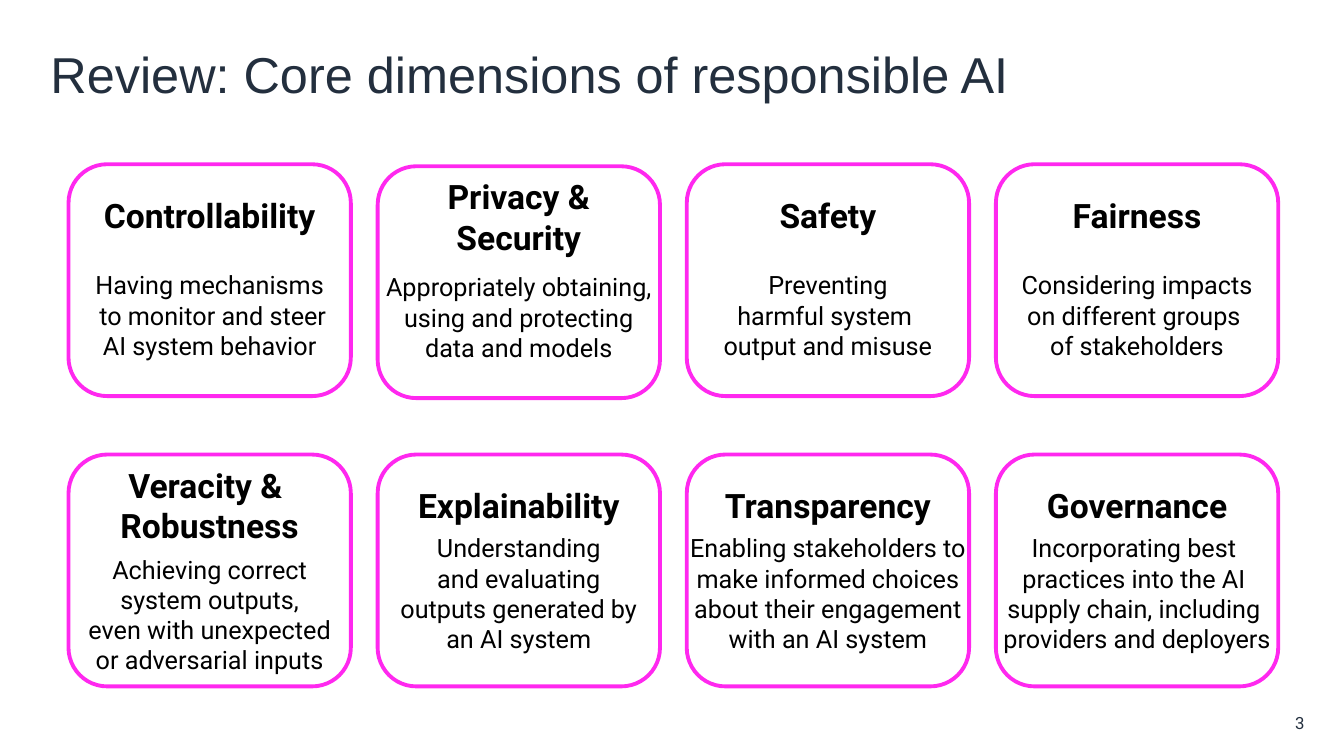
from pptx import Presentation
from pptx import util as u
from pptx.dml import color
from pptx.enum import shapes, text

SLIDE_WIDTH, SLIDE_HEIGHT = 13.33, 7.5
CARD_WIDTH, CARD_HEIGHT = 2.8, 2.3
HEADING_HEIGHT, DETAIL_HEIGHT = 1, 1.2
GRID_LEFT, GRID_TOP = 0.68, 1.63
COLUMN_STEP, ROW_STEP = 3.066, 2.88
INK, NAVY, MAGENTA = "000000", "232F3E", "FF28EF"

DIMENSIONS = [
    [
        ("Controllability", "Having mechanisms\n to monitor and steer\nAI system behavior", 1.03, 0),
        ("Privacy &\nSecurity", "Appropriately obtaining,\nusing and protecting\ndata and models", 1.03, 0.02),
        ("Safety", "Preventing\nharmful system \noutput and misuse", 1.03, 0),
        ("Fairness", "Considering impacts\non different groups \nof stakeholders", 1.03, 0),
    ],
    [
        ("Veracity & \nRobustness",
         "Achieving correct\nsystem outputs,\neven with unexpected\nor adversarial inputs", 0.97, 0),
        ("Explainability", "Understanding\nand evaluating\noutputs generated by\nan AI system", 0.76, 0),
        ("Transparency",
         "Enabling stakeholders to\nmake informed choices\nabout their engagement\nwith an AI system", 0.76, 0),
        ("Governance",
         "Incorporating best \npractices into the AI \nsupply chain, including \nproviders and deployers", 0.76, 0),
    ],
]


def rgb(value):
    return color.RGBColor.from_string(value)


def inches(*lengths):
    return [u.Inches(length) for length in lengths]


def write(shape, content, size, font="Roboto", ink=INK, bold=False,
          align=text.PP_ALIGN.CENTER, anchor=text.MSO_ANCHOR.MIDDLE, wrap=False, inset=0):
    frame = shape.text_frame
    frame.text = content
    frame.auto_size = text.MSO_AUTO_SIZE.NONE
    frame.word_wrap = wrap
    frame.vertical_anchor = anchor
    frame.margin_left = frame.margin_right = u.Inches(inset)
    frame.margin_top = frame.margin_bottom = u.Inches(inset / 2)
    for paragraph in frame.paragraphs:
        paragraph.alignment = align
        paragraph.font.name = font
        paragraph.font.size = u.Pt(size)
        paragraph.font.bold = bold
        paragraph.font.color.rgb = rgb(ink)


def add_rounded(group, left, top, width, height, corner=0.1667, outline=None):
    shape = group.shapes.add_shape(
        shapes.MSO_SHAPE.ROUNDED_RECTANGLE, *inches(left, top, width, height))
    shape.adjustments[0] = corner
    shape.shadow.inherit = False
    shape.fill.background()
    if outline:
        shape.line.color.rgb = rgb(outline)
        shape.line.width = u.Pt(2.75)
    else:
        shape.line.fill.background()
    return shape


def add_card(slide, left, top, heading, detail, detail_offset):
    group = slide.shapes.add_group_shape()
    add_rounded(group, left, top, CARD_WIDTH, CARD_HEIGHT, outline=MAGENTA)
    heading_shape = add_rounded(group, left, top, CARD_WIDTH, HEADING_HEIGHT, corner=0.044)
    write(heading_shape, heading, 24, bold=True)
    detail_shape = add_rounded(
        group, left, top + detail_offset, CARD_WIDTH, DETAIL_HEIGHT, corner=0.044)
    write(detail_shape, detail, 18, anchor=text.MSO_ANCHOR.TOP)


def add_card_grid(slide, left, top):
    for row, cards in enumerate(DIMENSIONS):
        for column, (heading, detail, detail_offset, drop) in enumerate(cards):
            add_card(slide, left + column * COLUMN_STEP, top + row * ROW_STEP + drop,
                     heading, detail, detail_offset)


def add_title(slide, left, top, width, height):
    title = slide.shapes.title
    title.left, title.top, title.width, title.height = inches(left, top, width, height)
    write(title, "Review: Core dimensions of responsible AI", 36, font="Arial", ink=NAVY,
          align=text.PP_ALIGN.LEFT, wrap=True, inset=0.1)


def add_page_number(slide, left, top, width, height):
    number = slide.shapes.add_textbox(*inches(left, top, width, height))
    write(number, "3", 12, ink=NAVY, align=text.PP_ALIGN.RIGHT, wrap=True)


def main():
    presentation = Presentation()
    presentation.slide_width, presentation.slide_height = inches(SLIDE_WIDTH, SLIDE_HEIGHT)
    slide = presentation.slides.add_slide(presentation.slide_layouts[5])
    slide.background.fill.solid()
    slide.background.fill.fore_color.rgb = rgb("FFFFFF")
    add_title(slide, 0.4, 0.33, 12.54, 0.8)
    add_card_grid(slide, GRID_LEFT, GRID_TOP)
    add_page_number(slide, 12.41, 7.05, 0.53, 0.25)
    presentation.save("out.pptx")


if __name__ == "__main__":
    main()
